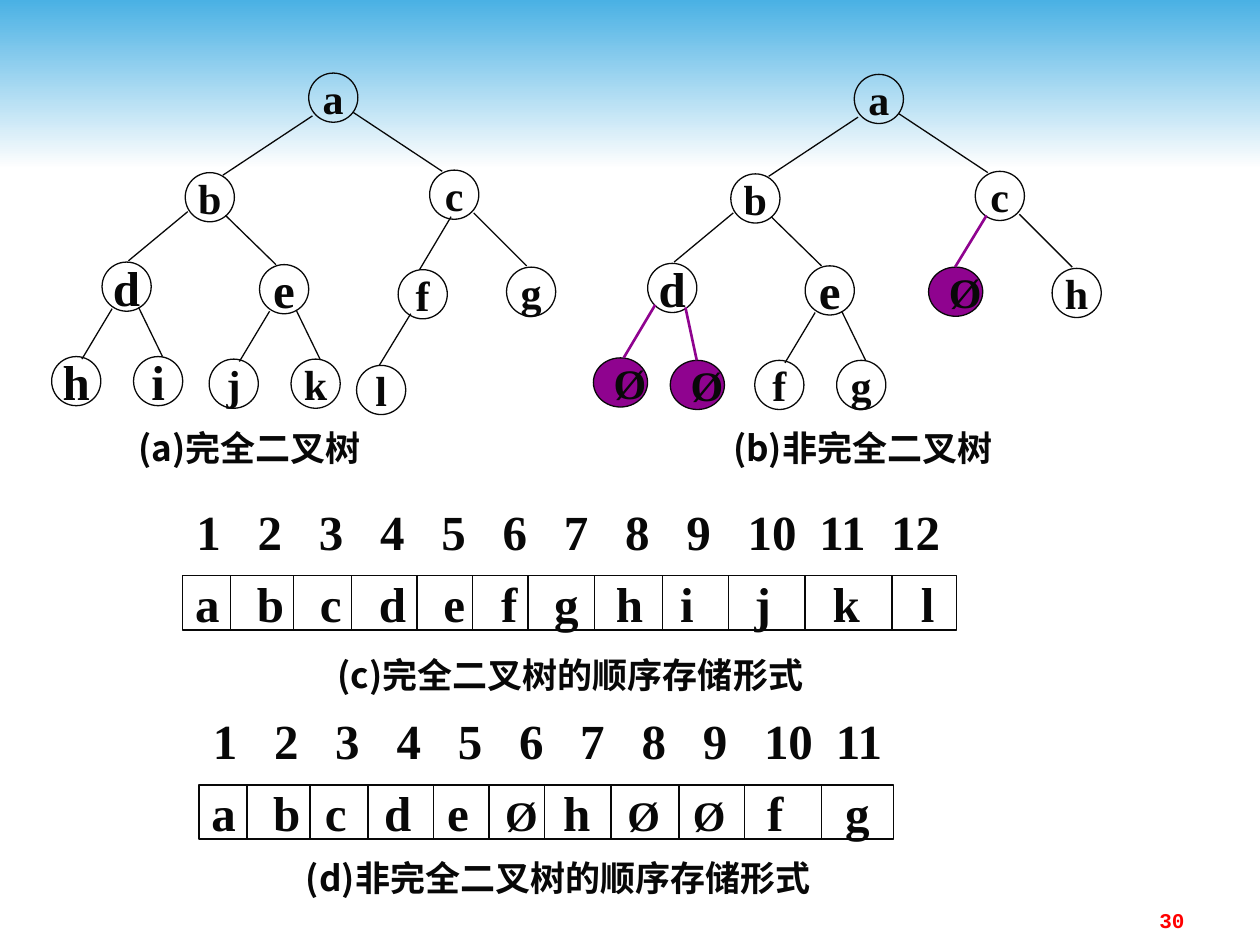
import pptx
import pptx.util
import pptx.dml.color
import pptx.enum.shapes
import pptx.enum.text
import pptx.oxml.ns
from lxml import etree

Inches = pptx.util.Inches
Shape = pptx.enum.shapes.MSO_SHAPE
Align = pptx.enum.text.PP_ALIGN
Anchor = pptx.enum.text.MSO_ANCHOR

# Content: each tree is stored level by level, as in its array
EMPTY = "Ø"
COMPLETE = list("abcdefghijkl")
INCOMPLETE = list("abcdeØhØØfg")
CAPTIONS = [
    ("(a)完全二叉树", 1.0, 3.36, 2.02),
    ("(b)非完全二叉树", 5.72, 3.36, 2.33),
    ("(c)完全二叉树的顺序存储形式", 2.58, 5.16, 3.99),
    ("(d)非完全二叉树的顺序存储形式", 2.33, 6.77, 4.25),
]
PAGE_NUMBER = "30"

# Formats
COLORS = {"ink": "080808", "empty": "8F038F", "page": "FF0000",
          "sky": "4AB1E4", "white": "FEFEFE"}
SERIF, CHINESE, MONO = "Times New Roman", "Noto Sans CJK SC", "Courier New"

# Geometry in inches
WIDTH, HEIGHT = 10, 7.5
NODE, EMPTY_WIDTH, ROW = 0.39, 0.43, 0.43
# Tree slot: left, top, line from the parent (start x, y, end x, y)
SLOTS = {
    1: (2.45, 0.58, None),
    2: (1.47, 1.37, (2.48, 0.92, 1.77, 1.39)),
    3: (3.41, 1.35, (2.80, 0.89, 3.51, 1.36)),
    4: (0.81, 2.08, (1.49, 1.68, 1.02, 2.07)),
    5: (2.06, 2.10, (1.79, 1.71, 2.19, 2.10)),
    6: (3.16, 2.14, (3.58, 1.72, 3.33, 2.14)),
    7: (4.02, 2.12, (3.76, 1.69, 4.18, 2.11)),
    8: (0.41, 2.83, (0.89, 2.45, 0.65, 2.85)),
    9: (1.06, 2.83, (1.10, 2.44, 1.29, 2.83)),
    10: (1.66, 2.85, (2.14, 2.47, 1.90, 2.87)),
    11: (2.31, 2.85, (2.35, 2.46, 2.54, 2.85)),
    12: (2.83, 2.90, (3.26, 2.49, 3.01, 2.90)),
}
EMPTY_SLOTS = {
    6: (3.04, 2.11, (3.50, 1.70, 3.25, 2.11)),
    8: (0.38, 2.83, (0.87, 2.41, 0.62, 2.83)),
    9: (0.99, 2.85, (1.11, 2.43, 1.20, 2.85)),
}
LARGE_SLOTS = {4, 5, 8, 9}
TREES = [(COMPLETE, 0, 0), (INCOMPLETE, 4.33, 0.01)]
# Array: items, left, index top, cell top, width, letter tab stops
ARRAYS = [
    (COMPLETE, 1.45, 4.0, 4.57, 6.14,
     [0.49, 0.99, 1.46, 1.97, 2.43, 2.85, 3.34, 3.85, 4.44, 5.06, 5.76]),
    (INCOMPLETE, 1.58, 5.66, 6.23, 5.51,
     [0.49, 0.90, 1.37, 1.87, 2.33, 2.79, 3.30, 3.82, 4.41, 5.03]),
]
DIVIDERS = [0.38, 0.88, 1.34, 1.86, 2.30, 2.74, 3.27, 3.81, 4.33, 4.94, 5.63]
INDEX_STEP, TWO_DIGIT_STEP = 35 / 72, 0.57


def rgb(name):
    return pptx.dml.color.RGBColor.from_string(COLORS[name])


def add_text(shape, pieces, size, font=SERIF, color="ink", align=Align.LEFT,
             wrap=False, anchor=Anchor.MIDDLE, tabs=(), margin_right=0.1):
    """Write (text, size) pieces in one paragraph; size None means the default."""
    frame = shape.text_frame
    layout = {"word_wrap": wrap, "vertical_anchor": anchor,
              "margin_right": Inches(margin_right)}
    for name, value in layout.items():
        setattr(frame, name, value)
    paragraph = frame.paragraphs[0]
    paragraph.alignment = align
    if tabs:
        properties = paragraph._p.get_or_add_pPr()
        tab_list = etree.SubElement(properties, pptx.oxml.ns.qn("a:tabLst"))
        for stop in tabs:
            etree.SubElement(tab_list, pptx.oxml.ns.qn("a:tab"),
                             pos=str(Inches(stop)), algn="l")
    for text, own_size in pieces:
        run = paragraph.add_run()
        run.text = text
        values = {"size": pptx.util.Pt(own_size or size), "bold": True, "name": font}
        for name, value in values.items():
            setattr(run.font, name, value)
        run.font.color.rgb = rgb(color)
        etree.SubElement(run._r.get_or_add_rPr(), pptx.oxml.ns.qn("a:ea"), typeface=font)


def add_box(slide, left, top, width, height):
    return slide.shapes.add_textbox(*map(Inches, (left, top, width, height)))


def add_outline(slide, kind, left, top, width, height, fill=None):
    shape = slide.shapes.add_shape(kind, *map(Inches, (left, top, width, height)))
    shape.shadow.inherit = False
    if fill:
        shape.fill.solid()
        shape.fill.fore_color.rgb = rgb(fill)
    else:
        shape.fill.background()
    shape.line.color.rgb = rgb("ink")
    shape.line.width = pptx.util.Pt(0.75)
    return shape


def add_line(slide, ends, color="ink", width=0.75):
    line = slide.shapes.add_connector(
        pptx.enum.shapes.MSO_CONNECTOR.STRAIGHT, *map(Inches, ends))
    line.line.color.rgb = rgb(color)
    line.line.width = pptx.util.Pt(width)
    etree.SubElement(line._element.spPr, pptx.oxml.ns.qn("a:effectLst"))


def add_header(slide):
    header = add_outline(slide, Shape.RECTANGLE, 0, 0, WIDTH, 1.33)
    header.line.fill.background()
    header.fill.gradient()
    header.fill.gradient_angle = 270
    for stop, color, position in zip(header.fill.gradient_stops, ("sky", "white"), (0, 1)):
        stop.color.rgb = rgb(color)
        stop.position = position


def add_tree(slide, items, shift_x, shift_y):
    for number, item in enumerate(items, 1):
        empty = item == EMPTY
        left, top, edge = (EMPTY_SLOTS if empty else SLOTS)[number]
        node = add_outline(slide, Shape.OVAL, left + shift_x, top + shift_y,
                           EMPTY_WIDTH if empty else NODE, NODE,
                           "empty" if empty else None)
        size = 28 if number in LARGE_SLOTS and not empty else 24
        add_text(node, [(item, size)], size, align=Align.LEFT if empty else Align.CENTER)
        if edge:
            x1, y1, x2, y2 = edge
            ends = (x1 + shift_x, y1 + shift_y, x2 + shift_x, y2 + shift_y)
            add_line(slide, ends, *(("empty", 1.5) if empty else ()))


def add_array(slide, items, left, index_top, top, width, letter_tabs):
    # Index numbers above the cells
    count = len(items)
    index_tabs = [min(i, 9) * INDEX_STEP + max(i - 9, 0) * TWO_DIGIT_STEP
                  for i in range(1, count)]
    numbers = "\t".join(str(i) for i in range(1, count + 1))
    add_text(add_box(slide, left + 0.01, index_top, width, ROW), [(numbers, None)],
             28, wrap=True, tabs=index_tabs, margin_right=0)
    # Cells
    row = add_outline(slide, Shape.RECTANGLE, left, top, width, ROW)
    pieces = []
    for i, item in enumerate(items):
        if i:
            pieces.append(("\t", None))
        pieces.append((item, 24 if item == EMPTY else None))
    add_text(row, pieces, 28, wrap=True, tabs=letter_tabs, margin_right=0)
    for offset in DIVIDERS[:count - 1]:
        add_line(slide, (left + offset, top, left + offset, top + ROW))


def main():
    presentation = pptx.Presentation()
    presentation.slide_width = Inches(WIDTH)
    presentation.slide_height = Inches(HEIGHT)
    slide = presentation.slides.add_slide(presentation.slide_layouts[6])
    add_header(slide)
    for tree in TREES:
        add_tree(slide, *tree)
    for array in ARRAYS:
        add_array(slide, *array)
    for text, left, top, width in CAPTIONS:
        add_text(add_box(slide, left, top, width, NODE), [(text, None)], 20, CHINESE,
                 margin_right=0)
    add_text(add_box(slide, 7.17, 7.15, 2.33, 0.27), [(PAGE_NUMBER, None)], 12, MONO,
             "page", Align.RIGHT, wrap=True, anchor=Anchor.TOP)
    presentation.save("out.pptx")


if __name__ == "__main__":
    main()
